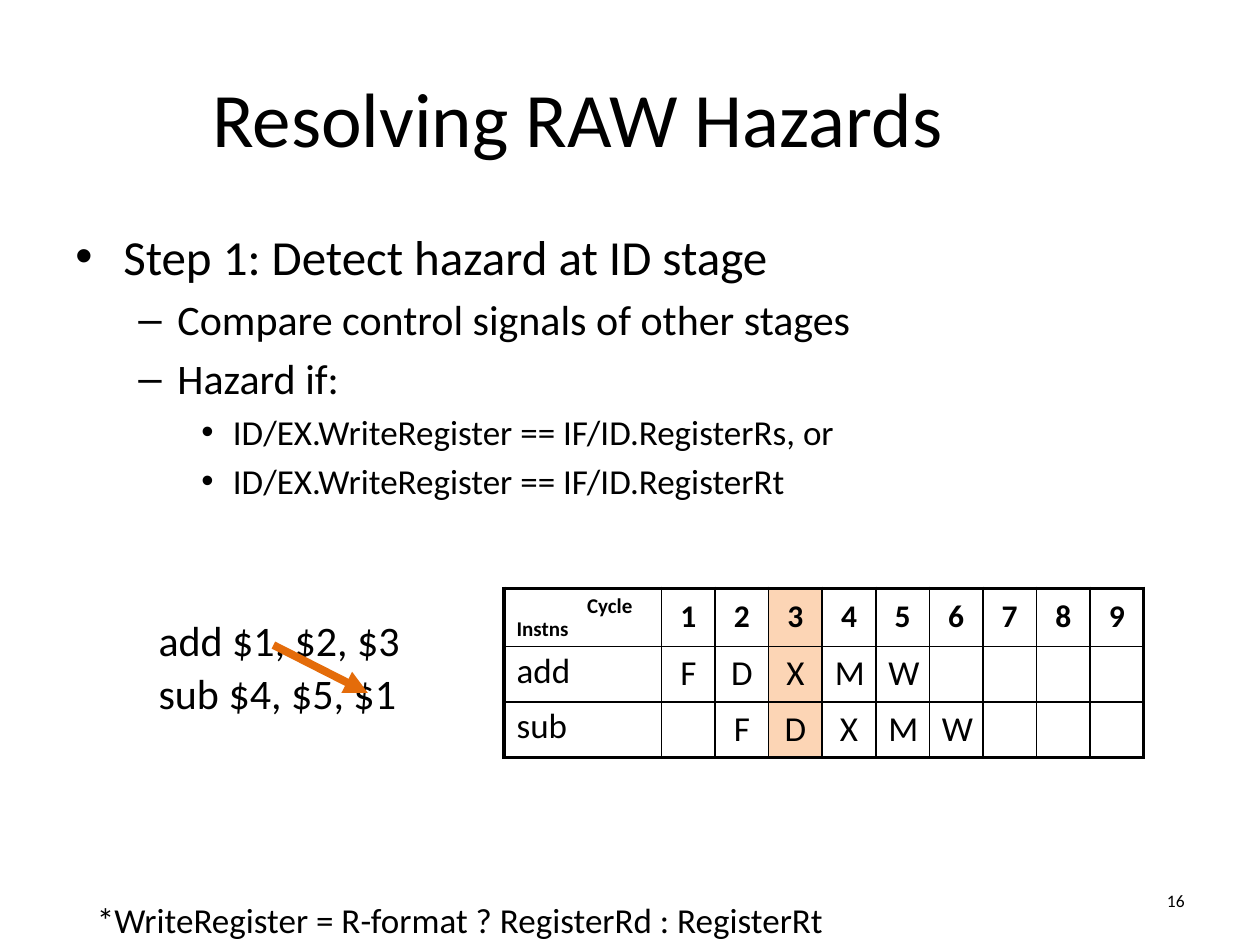
from lxml.etree import SubElement
from pptx import Presentation
from pptx.dml.color import RGBColor
from pptx.enum.shapes import MSO_CONNECTOR as CONNECTOR
from pptx.enum.text import MSO_ANCHOR as ANCHOR, PP_ALIGN as ALIGN
from pptx.oxml.ns import qn
from pptx.util import Inches, Pt

COLORS = {"text": "000000", "arrow": "E46C0A", "highlight": "FCD5B5", "plain": "FFFFFF"}
FONT = "Calibri"
THIN, THICK = Pt(1), Pt(2.25)

# level: (size, text indent in inches, first-line offset in inches, bullet)
LEVELS = [(28, 0.38, -0.38, "•"), (24, 0.81, -0.31, "–"), (20, 1.25, -0.25, "•")]
BODY = [
    (0, "Step 1: Detect hazard at ID stage"),
    (1, "Compare control signals of other stages"),
    (1, "Hazard if:"),
    (2, "ID/EX.WriteRegister == IF/ID.RegisterRs, or"),
    (2, "ID/EX.WriteRegister == IF/ID.RegisterRt"),
]
CODE = ["add $1, $2, $3", "sub $4, $5, $1"]
CYCLES = 9
HAZARD_CYCLE = 3
# instruction: (cycle of its first stage, stages)
PIPELINE = {"add": (1, "FDXMW"), "sub": (2, "FDXMW")}


def rgb(name):
    return RGBColor.from_string(COLORS[name])


def format_paragraph(p, size, bold=False, align=None, line_spacing=None):
    if align is not None:
        p.alignment = align
    if line_spacing:
        p.line_spacing = line_spacing
    for r in p.runs:
        r.font.name = FONT
        r.font.size = Pt(size)
        r.font.bold = bold
        r.font.color.rgb = rgb("text")


def set_indent(p, left, first=0):
    pPr = p._p.get_or_add_pPr()
    pPr.set("marL", str(Inches(left)))
    pPr.set("indent", str(Inches(first)))
    return pPr


def add_lines(tf, lines):
    """Fill a text frame with one paragraph per line and return the paragraphs."""
    tf.text = "\n".join(lines)
    return tf.paragraphs


def add_text_box(slide, left, top, width, height, anchor=ANCHOR.TOP):
    box = slide.shapes.add_textbox(Inches(left), Inches(top), Inches(width), Inches(height))
    tf = box.text_frame
    tf.word_wrap = True
    tf.vertical_anchor = anchor
    return tf


def add_title(slide, text):
    title = slide.shapes.title
    title.left, title.top = Inches(0.5), Inches(0.3)
    title.width, title.height = Inches(8.17), Inches(1.25)
    tf = title.text_frame
    tf.text = text
    tf.vertical_anchor = ANCHOR.MIDDLE
    format_paragraph(tf.paragraphs[0], 44, align=ALIGN.CENTER)


def add_body(slide):
    tf = add_text_box(slide, 0.5, 1.75, 9.25, 5.6)
    paragraphs = add_lines(tf, [text for _, text in BODY])
    for i, (p, (level, _)) in enumerate(zip(paragraphs, BODY)):
        size, left, first, bullet = LEVELS[level]
        p.level = level
        if i:
            p.space_before = Pt(size * 0.2)
        pPr = set_indent(p, left, first)
        SubElement(pPr, qn("a:buFont")).set("typeface", "Arial")
        SubElement(pPr, qn("a:buChar")).set("char", bullet)
        format_paragraph(p, size)


def add_code(slide):
    tf = add_text_box(slide, 0.66, 4.87, 2.92, 1.87)
    for i, p in enumerate(add_lines(tf, CODE)):
        set_indent(p, 0.5)
        if i:
            p.space_before = Pt(4.8)
        format_paragraph(p, 24, line_spacing=0.9)


def add_note(slide, text, size, box, align=ALIGN.LEFT, anchor=ANCHOR.TOP):
    tf = add_text_box(slide, *box, anchor=anchor)
    tf.text = text
    format_paragraph(tf.paragraphs[0], size, align=align)


def add_arrow(slide, x1, y1, x2, y2):
    arrow = slide.shapes.add_connector(
        CONNECTOR.STRAIGHT, Inches(x1), Inches(y1), Inches(x2), Inches(y2))
    arrow.line.color.rgb = rgb("arrow")
    arrow.line.width = Pt(4.5)
    SubElement(arrow.line._get_or_add_ln(), qn("a:tailEnd")).set("type", "triangle")
    SubElement(arrow._element.spPr, qn("a:effectLst"))


def set_borders(cell, widths):
    """Draw the left, right, top and bottom borders ahead of the cell's fill."""
    tcPr = cell._tc.get_or_add_tcPr()
    for i, (side, width) in enumerate(zip(("lnL", "lnR", "lnT", "lnB"), widths)):
        ln = SubElement(tcPr, qn(f"a:{side}"), w=str(width))
        fill = SubElement(ln, qn("a:solidFill"))
        SubElement(fill, qn("a:srgbClr")).set("val", COLORS["text"])
        tcPr.insert(i, ln)


def fill_corner(cell):
    cycle, instns = add_lines(cell.text_frame, ["Cycle", "Instns"])
    set_indent(cycle, 0.56)
    for p in (cycle, instns):
        format_paragraph(p, 12, bold=True, line_spacing=0.9)


def add_pipeline_table(slide):
    rows = [[""] + [str(n) for n in range(1, CYCLES + 1)]]
    for name, (start, stages) in PIPELINE.items():
        rows.append([name] + list((" " * (start - 1) + stages).ljust(CYCLES)))

    heights = [0.46, 0.44, 0.44]
    table = slide.shapes.add_table(len(rows), CYCLES + 1, Inches(4), Inches(4.67),
                                   Inches(5.08), Inches(sum(heights))).table
    table.first_row = table.horz_banding = False
    for row, height in zip(table.rows, heights):
        row.height = Inches(height)
    for i, column in enumerate(table.columns):
        column.width = Inches(3.83 / CYCLES if i else 1.25)

    for i, row in enumerate(rows):
        for j, text in enumerate(row):
            cell = table.cell(i, j)
            cell.fill.solid()
            cell.fill.fore_color.rgb = rgb("highlight" if j == HAZARD_CYCLE else "plain")
            outer = (j == 0, j == CYCLES, i == 0, i == len(rows) - 1)
            set_borders(cell, [THICK if edge else THIN for edge in outer])
            cell.vertical_anchor = ANCHOR.TOP if i and not j else ANCHOR.MIDDLE
            if text.strip():
                cell.text_frame.text = text
                format_paragraph(cell.text_frame.paragraphs[0], 20 if i else 18, bold=i == 0,
                                 align=ALIGN.CENTER if j else ALIGN.LEFT, line_spacing=0.9)
    fill_corner(table.cell(0, 0))


def main():
    prs = Presentation()
    prs.slide_width, prs.slide_height = Inches(10), Inches(7.5)
    slide = prs.slides.add_slide(prs.slide_layouts[5])
    add_title(slide, "Resolving RAW Hazards")
    add_body(slide)
    add_note(slide, "16", 10, (8.33, 6.95, 1.17, 0.4), ALIGN.RIGHT, ANCHOR.MIDDLE)
    add_code(slide)
    add_arrow(slide, 2.17, 5.12, 2.92, 5.5)
    add_pipeline_table(slide)
    add_note(slide, "*WriteRegister = R-format ? RegisterRd : RegisterRt", 20,
             (0.67, 7.08, 9.25, 0.43))
    prs.save("out.pptx")


if __name__ == "__main__":
    main()
